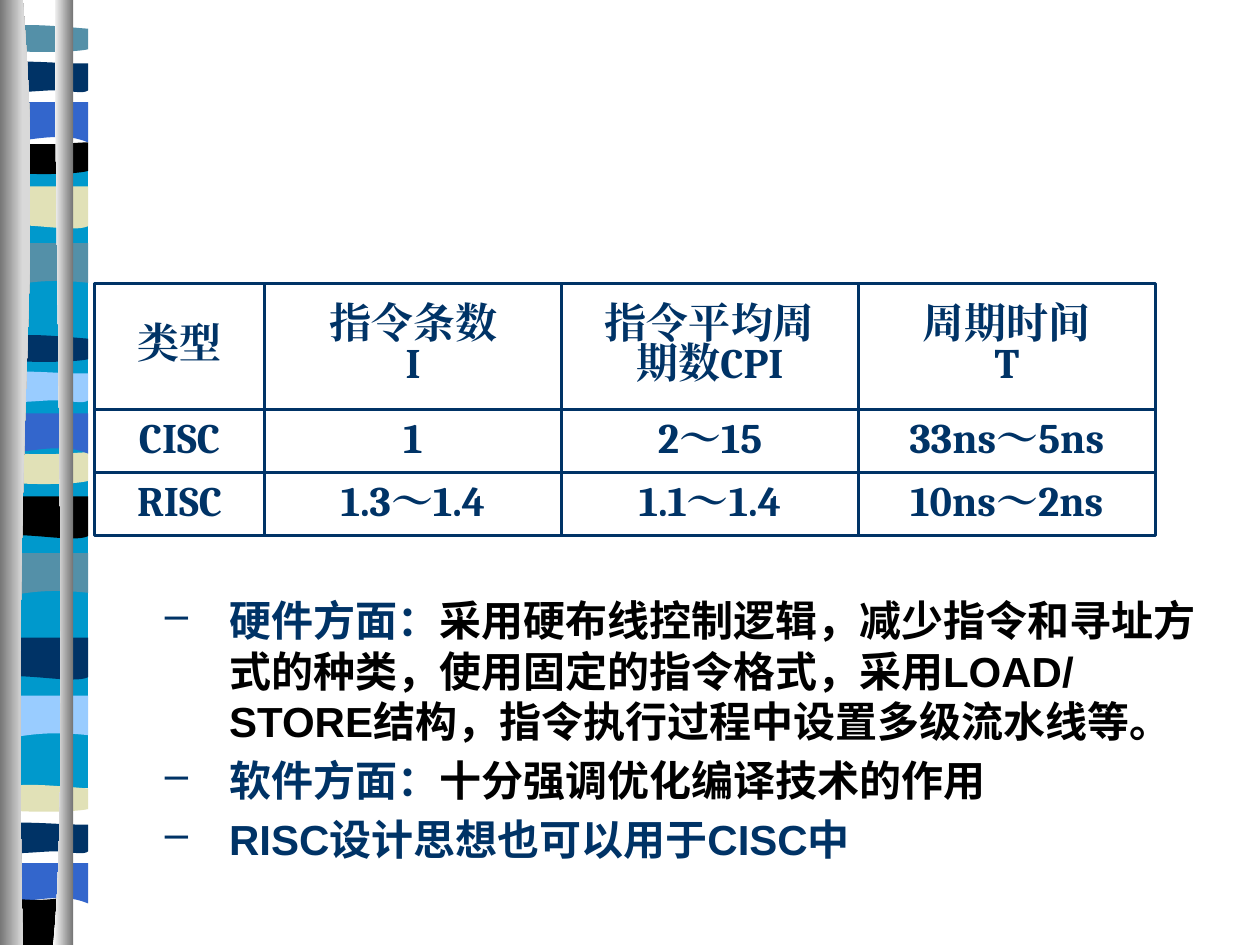
import pptx
import pptx.util
import pptx.dml.color
import pptx.enum.shapes
import pptx.enum.text
import pptx.oxml.ns
import lxml.etree

WIDTH, HEIGHT = 10, 7.5
COLORS = {
    "navy": "003366", "black": "000000", "cyan": "0099CC", "teal": "5490A8",
    "sand": "E1E1B7", "blue": "3366CC", "sky": "99CCFF",
    "white": "FFFFFF", "silver": "D9D9D9", "gray": "767676",
}
STRIPE_WIDTH = 0.7

# Outlines as shares of a stripe: two numbers for a line, six for a curve
OUTLINES = {
    "wave": (0.37, [(0, 0), (1, 0), (1, .85), (.31, .71, .16, 1, 0, .85)]),
    "swell": (0.37, [(0, 0), (1, 0), (1, .85), (.84, 1, .31, .76, 0, .85)]),
    "lens": (0.22, [(1, .13), (1, .87), (.84, 1, .16, 1, 0, .87), (0, .13),
                    (.07, 0, .22, 0, .38, 0), (.56, 0, .87, .1, 1, .13)]),
    "dip": (0.26, [(1, 0), (1, .87), (.84, 1, .16, 1, 0, .87), (0, 0),
                   (.62, .13, .8, 0, 1, 0)]),
    "arch": (0.32, [(0, 0), (1, 0), (1, 1), (.85, .87, .78, .87, .62, .87),
                    (.45, .87, .16, 1, 0, 1)]),
    "band": (0.28, [(1, .12), (1, .88), (.95, 1, .78, .88, .62, .88),
                    (.45, .88, .11, 1, 0, .88), (0, .12),
                    (.15, 0, .7, .12, .85, .12)]),
}
STRIPES = [
    ("wave", 1.93, "teal"), ("swell", 1.48, "sand"), ("lens", 0.2, "teal"),
    ("dip", 1.13, "black"), ("arch", 0.81, "blue"), ("band", 0.47, "navy"),
    ("wave", 4.39, "teal"), ("swell", 3.94, "black"), ("lens", 2.66, "navy"),
    ("dip", 3.59, "sand"), ("arch", 3.28, "blue"), ("band", 2.93, "sky"),
    ("wave", 5.52, "sky"), ("swell", 5.06, "navy"), ("lens", 6.23, "sand"),
    ("arch", 6.85, "blue"), ("band", 6.51, "navy"),
]
BACKDROP = [(0, 0), (1, 0), (1, 1), (0, 1)]
FOOT = [(1, 0), (1, 1), (0, 1), (0, 0), (.62, .13, .8, 0, 1, 0)]
# Columns as shares of the slide's size
LEFT_COLUMN = [(0, 0), (.018, 0), (.036, .29, .009, .395, .018, 1), (0, 1)]
RIGHT_COLUMN = [(.044, 0), (.042, .168, .056, .863, .042, 1), (.058, 1), (.058, 0)]

TABLE_ROWS = [
    ["类型", "指令条数\nI", "指令平均周\n期数CPI", "周期时间\nT"],
    ["CISC", "1", "2～15", "33ns～5ns"],
    ["RISC", "1.3～1.4", "1.1～1.4", "10ns～2ns"],
]
POINTS = [
    [("硬件方面：", "navy"),
     ("采用硬布线控制逻辑，减少指令和寻址方式的种类，使用固定的指令格式，"
      "采用LOAD/STORE结构，指令执行过程中设置多级流水线等。", "black")],
    [("软件方面：", "navy"), ("十分强调优化编译技术的作用", "black")],
    [("RISC设计思想也可以用于CISC中", "navy")],
]


def inches(value):
    return pptx.util.Inches(value)


def rgb(name):
    return pptx.dml.color.RGBColor.from_string(COLORS[name])


def add_element(parent, tag, **attributes):
    return lxml.etree.SubElement(parent, pptx.oxml.ns.qn(tag), **attributes)


def add_text(paragraph, text, font="Arial", east_asian=None, size=24,
             color="navy", bold=True):
    for index, line in enumerate(text.split("\n")):
        if index:
            paragraph.add_line_break()
        run = paragraph.add_run()
        run.text = line
        run.font.name = font
        run.font.size = pptx.util.Pt(size)
        run.font.bold = bold
        run.font.color.rgb = rgb(color)
        if east_asian:
            add_element(run._r.get_or_add_rPr(), "a:ea", typeface=east_asian)


def draw_curves(shape, parts):
    """Replace the outline's straight segments by lines and cubic curves."""
    path = shape._element.find(".//" + pptx.oxml.ns.qn("a:path"))
    for child in list(path):
        path.remove(child)
    for index, part in enumerate(parts):
        tag = "a:cubicBezTo" if len(part) == 6 else "a:lnTo" if index else "a:moveTo"
        segment = add_element(path, tag)
        for x, y in zip(part[::2], part[1::2]):
            add_element(segment, "a:pt", x=str(x - shape.left), y=str(y - shape.top))
    add_element(path, "a:close")


def add_outline(slide, outline, left, top, width, height, colors):
    """Fill an outline with one colour, or a gradient across two."""
    parts = [[inches(top + value * height) if index % 2 else inches(left + value * width)
              for index, value in enumerate(part)] for part in outline]
    builder = slide.shapes.build_freeform(*parts[0])
    builder.add_line_segments([part[-2:] for part in parts[1:]], close=True)
    shape = builder.convert_to_shape()
    draw_curves(shape, parts)
    shape.shadow.inherit = False
    shape.line.fill.background()
    if len(colors) == 1:
        shape.fill.solid()
        shape.fill.fore_color.rgb = rgb(colors[0])
    else:
        shape.fill.gradient()
        shape.fill.gradient_angle = 0
        for stop, color in zip(shape.fill.gradient_stops, colors):
            stop.color.rgb = rgb(color)


def add_cell(slide, text, left, top, width, height):
    shape = slide.shapes.add_shape(
        pptx.enum.shapes.MSO_SHAPE.RECTANGLE,
        inches(left), inches(top), inches(width), inches(height))
    shape.shadow.inherit = False
    shape.fill.background()
    shape.line.color.rgb = rgb("navy")
    shape.line.width = pptx.util.Pt(2)
    frame = shape.text_frame
    frame.word_wrap = False
    frame.vertical_anchor = pptx.enum.text.MSO_ANCHOR.MIDDLE
    frame.margin_left = frame.margin_right = inches(0.04)
    frame.margin_top = frame.margin_bottom = inches(0.04)
    paragraph = frame.paragraphs[0]
    paragraph.alignment = pptx.enum.text.PP_ALIGN.CENTER
    paragraph.line_spacing = 0.8
    add_text(paragraph, text, font="Cambria", east_asian="Cambria")


def add_grid(slide, rows, left, top, widths, heights):
    for row, texts in enumerate(rows):
        for column, text in enumerate(texts):
            add_cell(slide, text, left + sum(widths[:column]),
                     top + sum(heights[:row]), widths[column], heights[row])


def add_bullets(slide, items, left, top, width, height):
    box = slide.shapes.add_textbox(
        inches(left), inches(top), inches(width), inches(height))
    frame = box.text_frame
    frame.word_wrap = True
    for index, parts in enumerate(items):
        paragraph = frame.add_paragraph() if index else frame.paragraphs[0]
        properties = paragraph._p.get_or_add_pPr()
        properties.set("marL", str(inches(1.14)))
        properties.set("indent", str(inches(-0.51)))
        add_element(properties, "a:buChar", char="–")
        if index:
            paragraph.space_before = pptx.util.Pt(4.8)
        for text, color in parts:
            add_text(paragraph, text, color=color)


def main():
    presentation = pptx.Presentation()
    presentation.slide_width = inches(WIDTH)
    presentation.slide_height = inches(HEIGHT)
    slide = presentation.slides.add_slide(presentation.slide_layouts[6])

    # Striped band on the left edge
    add_outline(slide, BACKDROP, 0, 1.2, STRIPE_WIDTH, 5.05, ["cyan"])
    for kind, top, color in STRIPES:
        height, outline = OUTLINES[kind]
        add_outline(slide, outline, 0, top, STRIPE_WIDTH, height, [color])
    add_outline(slide, FOOT, 0.02, 7.12, 0.55, 0.38, ["black"])

    # Metallic columns over the band
    add_outline(slide, LEFT_COLUMN, 0, 0, WIDTH, HEIGHT, ["gray", "silver"])
    add_outline(slide, RIGHT_COLUMN, 0, 0, WIDTH, HEIGHT, ["white", "gray"])

    # Remarks and the grid of boxes comparing both types
    add_bullets(slide, POINTS, 0.58, 4.67, 9.08, 2.49)
    add_grid(slide, TABLE_ROWS, 0.75, 2.25, [1.35] + [7.07 / 3] * 3, [1, 0.5, 0.5])
    presentation.save("out.pptx")


if __name__ == "__main__":
    main()
